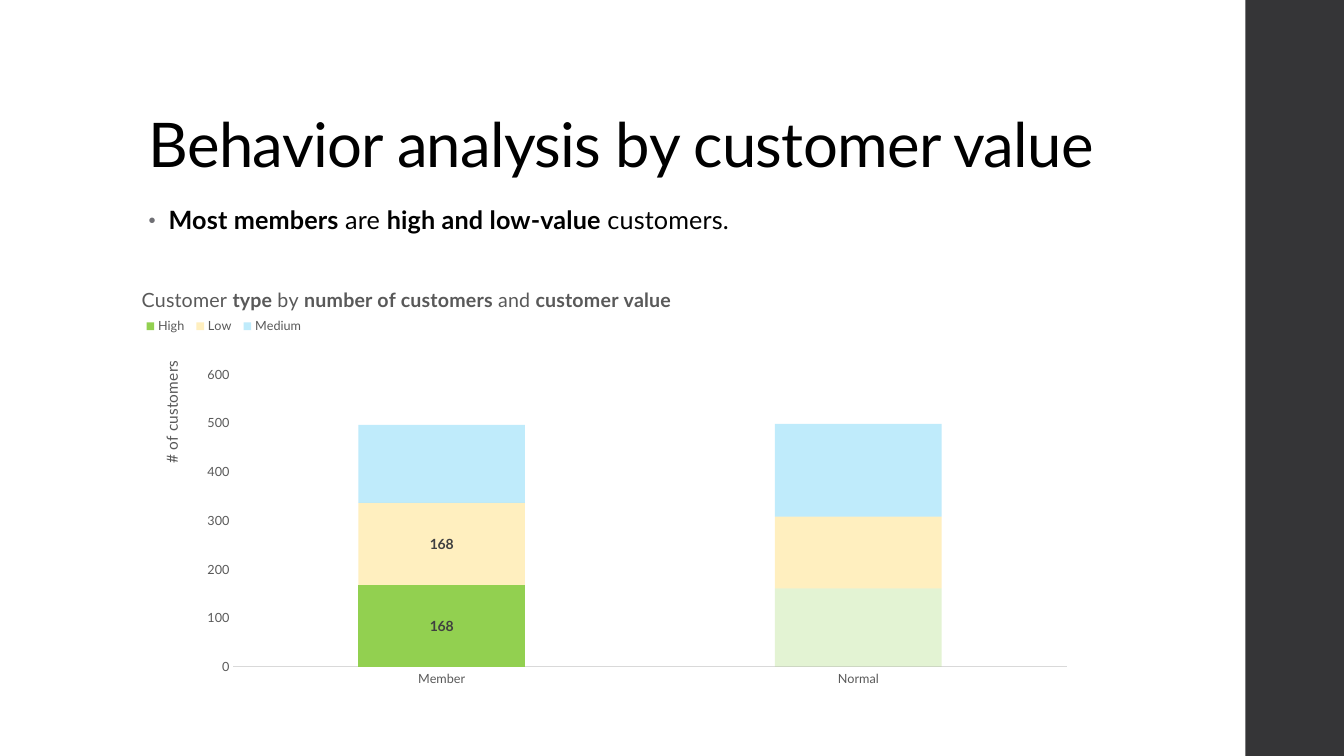
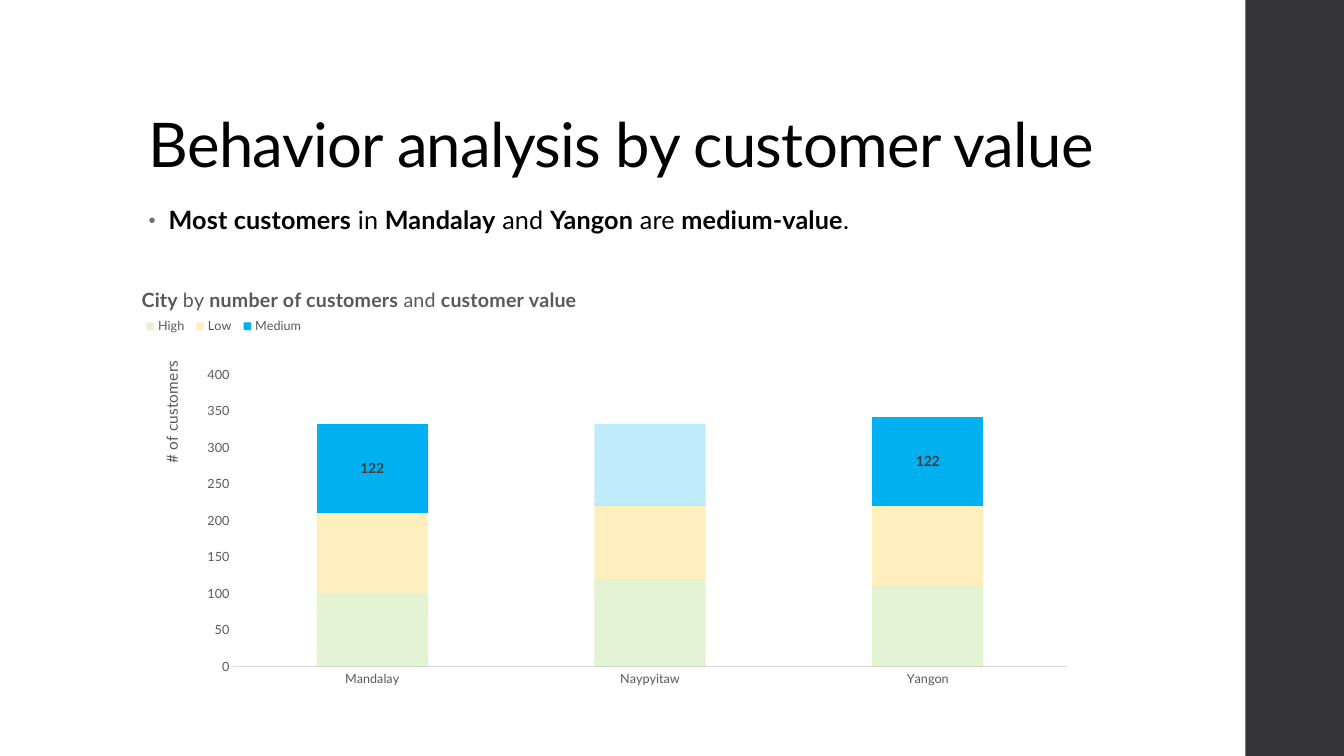
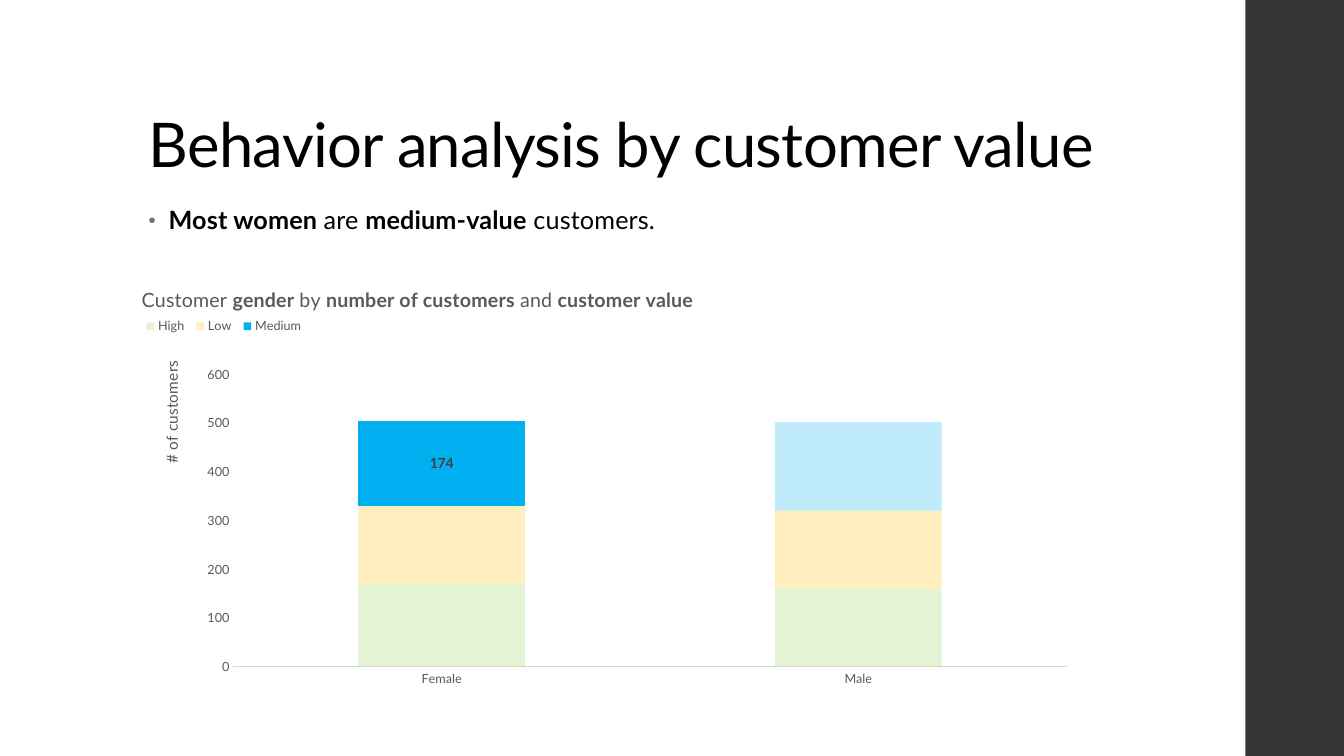
from dataclasses import dataclass
from lxml.etree import SubElement
from pptx import Presentation
from pptx.chart.data import CategoryChartData
from pptx.dml.color import RGBColor
from pptx.enum.chart import XL_CHART_TYPE, XL_LABEL_POSITION, XL_LEGEND_POSITION, XL_TICK_MARK
from pptx.enum.shapes import MSO_SHAPE
from pptx.enum.text import MSO_ANCHOR, MSO_AUTO_SIZE, PP_ALIGN
from pptx.oxml.ns import qn
from pptx.util import Pt

PX = 9525


@dataclass(frozen=True)
class Theme:
    face: str = "Lato"
    ink: str = "000000"
    band: str = "353537"
    dot: str = "6F6F74"
    gray: str = "595959"
    rule: str = "D9D9D9"
    label: str = "404040"
    high: str = "92D050"
    low: str = "FFC000"
    medium: str = "00B0F0"
    faint: int = 25000
    head: int = 44
    body: int = 18
    chart: int = 14
    axis: int = 11
    value: int = 10
    tick: int = 9


def style(font, face, size, color, bold=False):
    font.name, font.size, font.bold = face, Pt(size), bold
    font.color.rgb = RGBColor.from_string(color)


def write(frame, text, *, face, size, color, space=0, line=None, before=None, after=None):
    para = frame.paragraphs[0]
    para.alignment = PP_ALIGN.LEFT
    para.line_spacing = line
    para.space_before = None if before is None else Pt(before)
    para.space_after = None if after is None else Pt(after)
    for index, part in enumerate(text.split("**")):
        if part:
            run = para.add_run()
            run.text = part
            style(run.font, face, size, color, index % 2 == 1)
            if space:
                run.font._element.set("spc", str(space))
    return para


def paint(fill, color, alpha=None):
    fill.solid()
    fill.fore_color.rgb = RGBColor.from_string(color)
    if alpha:
        tint = fill._xPr.find(qn("a:solidFill"))[0]
        SubElement(tint, qn("a:alpha")).set("val", str(alpha))


def place(node, index, inner=False, **spot):
    for old in node.findall(qn("c:layout")):
        node.remove(old)
    layout = SubElement(node, qn("c:layout"))
    node.insert(index, layout)
    manual = SubElement(layout, qn("c:manualLayout"))
    if inner:
        SubElement(manual, qn("c:layoutTarget")).set("val", "inner")
    for key in ("x", "y"):
        SubElement(manual, qn(f"c:{key}Mode")).set("val", "edge")
    for key, value in spot.items():
        SubElement(manual, qn(f"c:{key}")).set("val", str(value))


class Deck:
    def __init__(self, theme):
        self.theme = theme
        self.show = Presentation()
        self.show.slide_width, self.show.slide_height = 1280 * PX, 720 * PX
        self.layout = self.show.slide_layouts[1]
        self.slide = None

    def page(self):
        self.slide = self.show.slides.add_slide(self.layout)

    def band(self, *box):
        bar = self.slide.shapes.add_shape(MSO_SHAPE.RECTANGLE, *[n * PX for n in box])
        paint(bar.fill, self.theme.band)
        bar.line.fill.background()
        bar.shadow.inherit = False
        self.layout.shapes.element.insert(2, bar.element)

    def hold(self, index, box, anchor):
        shape = self.slide.placeholders[index]
        shape.left, shape.top, shape.width, shape.height = [n * PX for n in box]
        frame = shape.text_frame
        frame.word_wrap = True
        frame.auto_size = MSO_AUTO_SIZE.NONE
        frame.vertical_anchor = anchor
        return frame

    def title(self, text):
        look = self.theme
        frame = self.hold(0, (132, 38, 1018, 139), MSO_ANCHOR.BOTTOM)
        write(frame, text, face=look.face, size=look.head, color=look.ink, space=-50, line=0.9)

    def bullet(self, text):
        look = self.theme
        frame = self.hold(1, (132, 192, 902, 457), MSO_ANCHOR.TOP)
        para = write(frame, text, face=look.face, size=look.body, color=look.ink,
                     space=10, line=0.95, before=14, after=2)
        props = para._p.get_or_add_pPr()
        props.set("marL", str(19 * PX))
        props.set("indent", str(-19 * PX))
        tint = SubElement(props, qn("a:buClr"))
        SubElement(tint, qn("a:srgbClr")).set("val", look.dot)
        SubElement(props, qn("a:buSzPct")).set("val", "80000")
        SubElement(props, qn("a:buChar")).set("char", "•")

    def chart(self, text, names, rows, top, step, solid, marks):
        look = self.theme
        data = CategoryChartData()
        data.categories = names
        for name, values in rows.items():
            data.add_series(name, values)
        box = [n * PX for n in (132, 265, 902, 398)]
        chart = self.slide.shapes.add_chart(XL_CHART_TYPE.COLUMN_STACKED, *box, data).chart
        style(chart.font, look.face, look.value, look.ink)
        write(chart.chart_title.text_frame, text, face=look.face, size=look.chart, color=look.gray)
        self.axes(chart, top, step)
        chart.has_legend = True
        chart.legend.position = XL_LEGEND_POSITION.TOP
        chart.legend.include_in_layout = False
        style(chart.legend.font, look.face, look.tick, look.gray)
        plot = chart.plots[0]
        plot.gap_width, plot.overlap, plot.vary_by_categories = 150, 100, False
        for series in plot.series:
            self.fill(series, solid, marks.get(series.name, ()), len(names))
        root = chart.element
        place(root.xpath("c:chart/c:title")[0], 1, x=0, y=0.01)
        place(root.xpath("c:chart/c:legend")[0], 1, x=0, y=0.09, w=0.18, h=0.05)
        place(root.xpath("c:chart/c:plotArea")[0], 0, inner=True, x=0.1, y=0.23, w=0.88, h=0.7)
        place(root.xpath(".//c:valAx/c:title")[0], 1, x=0.02, y=0.19)

    def axes(self, chart, top, step):
        look = self.theme
        base, scale = chart.category_axis, chart.value_axis
        for axis in (base, scale):
            axis.major_tick_mark = axis.minor_tick_mark = XL_TICK_MARK.NONE
            axis.has_major_gridlines = False
            style(axis.tick_labels.font, look.face, look.tick, look.gray)
        base.format.line.width = Pt(0.75)
        base.format.line.color.rgb = RGBColor.from_string(look.rule)
        scale.format.line.fill.background()
        scale.minimum_scale, scale.maximum_scale, scale.major_unit = 0, top, step
        frame = scale.axis_title.text_frame
        write(frame, "# of customers", face=look.face, size=look.axis, color=look.gray)
        turn = scale.axis_title.element.xpath("c:tx/c:rich/a:bodyPr")[0]
        turn.set("rot", "-5400000")
        turn.set("vert", "horz")

    def fill(self, series, solid, marks, count):
        look = self.theme
        color = getattr(look, series.name.lower())
        strong = series.name == solid
        paint(series.format.fill, color, None if strong else look.faint)
        for index in range(count):
            if index in marks:
                label = series.points[index].data_label
                style(label.font, look.face, look.value, look.label, True)
                label.position = XL_LABEL_POSITION.CENTER
            elif strong:
                paint(series.points[index].format.fill, color, look.faint)
        if marks:
            series.data_labels.show_value = False


PAGES = [
    dict(note="**Most members **are **high and low-value **customers.",
         text="Customer **type** by **number of customers** and **customer value**",
         names=["Member", "Normal"], top=600, step=100, solid="High",
         rows={"High": [168, 161], "Low": [168, 147], "Medium": [160, 190]},
         marks={"High": [0], "Low": [0]}),
    dict(note="**Most customers **in **Mandalay** and **Yangon** are **medium-value**.",
         text="**City** by **number of customers** and **customer value**",
         names=["Mandalay", "Naypyitaw", "Yangon"], top=400, step=50, solid="Medium",
         rows={"High": [100, 120, 110], "Low": [110, 100, 110], "Medium": [122, 112, 122]},
         marks={"Medium": [0, 2]}),
    dict(note="**Most women **are **medium-value** customers.",
         text="Customer **gender** by **number of customers** and **customer value**",
         names=["Female", "Male"], top=600, step=100, solid="Medium",
         rows={"High": [170, 160], "Low": [160, 160], "Medium": [174, 182]},
         marks={"Medium": [0]}),
]


def main():
    deck = Deck(Theme())
    for index, facts in enumerate(PAGES):
        deck.page()
        if index == 0:
            deck.band(1186, 0, 94, 720)
        deck.title("Behavior analysis by customer value")
        deck.bullet(facts["note"])
        deck.chart(**{key: value for key, value in facts.items() if key != "note"})
    deck.show.save("out.pptx")


if __name__ == "__main__":
    main()
